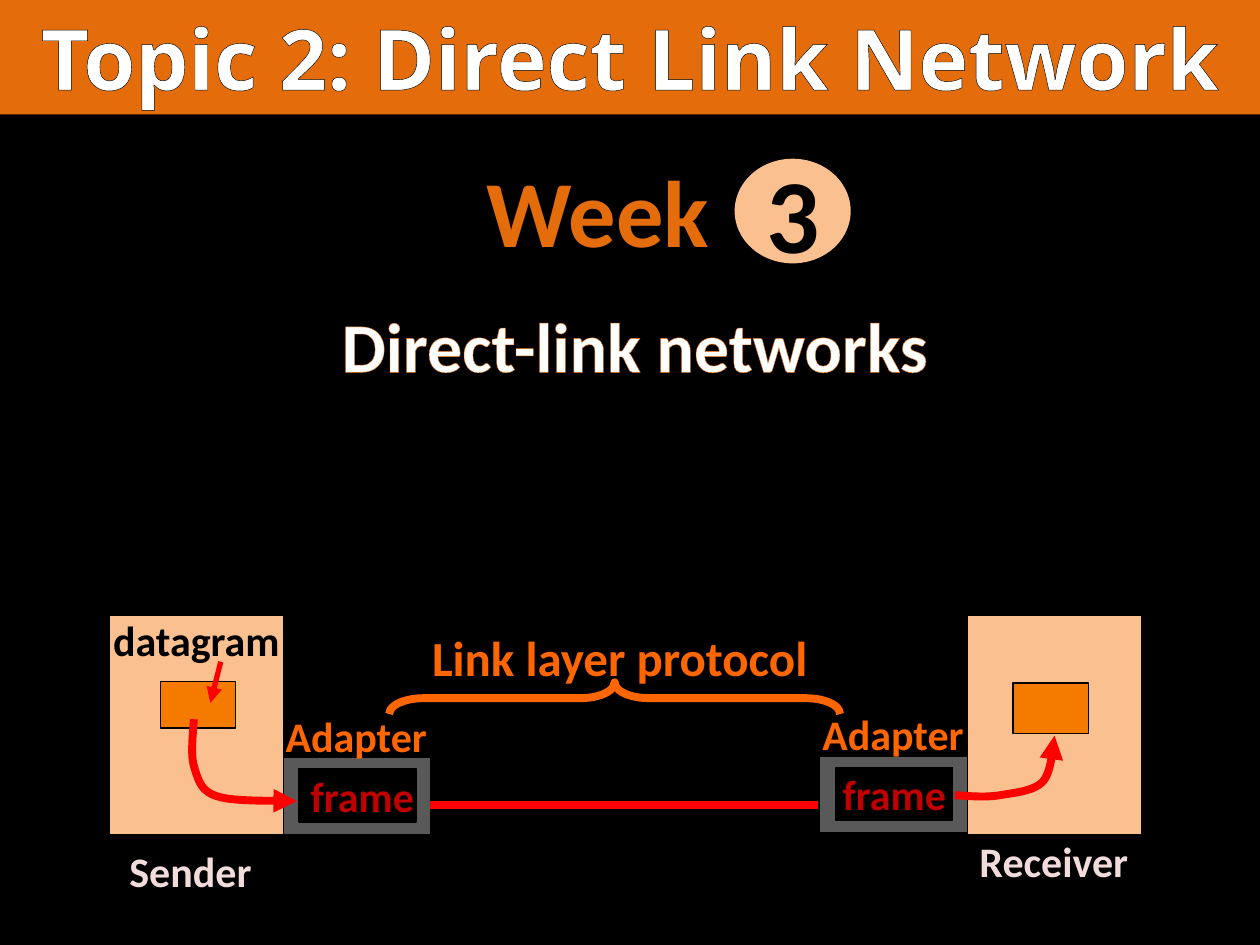
from lxml import etree
from pptx import Presentation
from pptx.dml.color import RGBColor
from pptx.enum.shapes import MSO_CONNECTOR, MSO_SHAPE
from pptx.enum.text import MSO_ANCHOR, MSO_AUTO_SIZE, PP_ALIGN
from pptx.oxml.ns import qn
from pptx.util import Cm, Pt

RECT, OVAL, BRACE = MSO_SHAPE.RECTANGLE, MSO_SHAPE.OVAL, MSO_SHAPE.LEFT_BRACE
STRAIGHT = MSO_CONNECTOR.STRAIGHT
LEFT, CENTER = PP_ALIGN.LEFT, PP_ALIGN.CENTER
TOP, MIDDLE = MSO_ANCHOR.TOP, MSO_ANCHOR.MIDDLE
FIT = MSO_AUTO_SIZE.SHAPE_TO_FIT_TEXT

COLORS = {
    "black": "000000", "white": "FFFFFF", "orange": "E46C0A",
    "peach": "FAC090", "packet": "F47A00", "label": "FF6600",
    "gray": "595959", "red": "FF0000", "frame": "C00000", "pink": "F2DCDB",
}


def color(name):
    return RGBColor.from_string(COLORS[name])


def set_line(shape, name, width):
    shape.line.color.rgb = color(name)
    shape.line.width = Pt(width)


def write(shape, text, size, ink, font="Calibri", align=CENTER,
          anchor=TOP, wrap=True, outline=None):
    frame = shape.text_frame
    frame.word_wrap = wrap
    frame.vertical_anchor = anchor
    para = frame.paragraphs[0]
    para.alignment = align
    para.font.name, para.font.size, para.font.bold = font, Pt(size), True
    para.font.color.rgb = color(ink)
    span = para.add_run()
    span.text = text
    if outline:
        line = etree.Element(qn("a:ln"), w=str(Pt(0.75)))
        fill = etree.SubElement(line, qn("a:solidFill"))
        etree.SubElement(fill, qn("a:srgbClr"), val=COLORS[outline])
        span._r.get_or_add_rPr().insert(0, line)


def add_label(page, box, text, size, ink, **style):
    label = page.shapes.add_textbox(*map(Cm, box))
    write(label, text, size, ink, **style)
    label.text_frame.auto_size = FIT


def add_block(page, kind, box, fill=None, border=None, width=0.75):
    block = page.shapes.add_shape(kind, *map(Cm, box))
    block.shadow.inherit = False
    if fill:
        block.fill.solid()
        block.fill.fore_color.rgb = color(fill)
    else:
        block.fill.background()
    if border:
        set_line(block, border, width)
    else:
        block.line.fill.background()
    return block


def add_arrowhead(shape):
    etree.SubElement(shape.line._get_or_add_ln(), qn("a:tailEnd"), type="triangle")


def add_straight(page, start, end, width):
    line = page.shapes.add_connector(STRAIGHT, *map(Cm, start + end))
    set_line(line, "red", width)
    etree.SubElement(line._element.spPr, qn("a:effectLst"))
    return line


def add_curve(page, left, top, start, segments, steps=12):
    """Draw joined cubic curves, each given by two controls and an end."""
    points, last = [], start
    for segment in segments:
        corners = (last,) + segment
        for step in range(1, steps + 1):
            t = step / steps
            weights = ((1 - t) ** 3, 3 * t * (1 - t) ** 2, 3 * t * t * (1 - t), t ** 3)
            x, y = (sum(w * c[axis] for w, c in zip(weights, corners)) for axis in (0, 1))
            points.append((Cm(left + x), Cm(top + y)))
        last = segment[-1]
    builder = page.shapes.build_freeform(Cm(left + start[0]), Cm(top + start[1]))
    builder.add_line_segments(points, close=False)
    curve = builder.convert_to_shape()
    curve.shadow.inherit = False
    curve.fill.background()
    set_line(curve, "red", 4.5)
    add_arrowhead(curve)


def add_banner(page, left, top, width, height):
    banner = add_block(page, RECT, (left, top, width, height), "orange")
    write(banner, "Topic 2: Direct Link Network", 48, "white",
          font="Noto Sans", outline="black")


def add_heading(page, left, top):
    add_label(page, (left + 0.2, top + 3, 25.2, 1.96), "Direct-link networks",
              40, "white", outline="orange")
    add_label(page, (left + 0.84, top, 22.43, 2.57), "Week", 54, "orange")
    badge = add_block(page, OVAL, (left + 14.81, top + 0.23, 2.34, 2.11), "peach")
    write(badge, "3", 60, "black", anchor=MIDDLE)


def add_host(page, left, top, packet, name, name_box):
    add_block(page, RECT, (left, top, 3.5, 4.42), "peach", "black")
    x, y, height = packet
    add_block(page, RECT, (left + x, top + y, 1.52, height), "packet", "black")
    x, y, width = name_box
    add_label(page, (left + x, top + y, width, 1.27), name, 24, "pink", wrap=False)


def add_adapter(page, left, top, text):
    add_block(page, RECT, (left, top, 3, 1.55), "gray", "black")
    slot = add_block(page, RECT, (left + 0.34, top + 0.23, 2.36, 1.07), "black", "black")
    write(slot, text, 24, "frame", anchor=MIDDLE, wrap=False)
    add_label(page, (left - 0.18, top - 1.08, 3.38, 1.27), "Adapter", 24, "label",
              align=LEFT, wrap=False)


def add_link_diagram(page, left, top):
    # Adapters, the link between them, and the two hosts
    add_adapter(page, left + 3.69, top + 3.27, " frame")
    add_straight(page, (left + 6.66, top + 4.23), (left + 14.5, top + 4.23), 4.5)
    add_adapter(page, left + 14.51, top + 3.24, "frame")
    add_host(page, left + 0.21, top + 0.4, (1.02, 1.34, 0.94), "Sender", (0.13, 4.52, 3))
    add_host(page, left + 17.51, top + 0.4, (0.91, 1.37, 1.02), "Receiver",
             (-0.03, 4.31, 3.53))

    # Datagram label and pointer
    add_label(page, (left + 0.03, top + 0.27, 3.91, 1.27), "datagram", 24, "black",
              align=LEFT, wrap=False)
    pointer = add_straight(page, (left + 2.45, top + 1.34), (left + 2.24, top + 2.17), 3)
    add_arrowhead(pointer)

    # Paths into and out of the link
    add_curve(page, left, top, (1.91, 2.5), [
        ((1.89, 2.83), (1.84, 3.19), (1.91, 3.44)),
        ((1.99, 3.7), (2.04, 3.95), (2.37, 4.05)),
        ((2.72, 4.18), (3.74, 4.13), (3.99, 4.15)),
    ])
    add_curve(page, left, top, (17.25, 4.03), [
        ((17.56, 4.05), (17.86, 4.08), (18.17, 4.03)),
        ((18.45, 3.98), (18.85, 3.95), (19.03, 3.75)),
        ((19.21, 3.54), (19.23, 2.99), (19.26, 2.83)),
    ])

    # Protocol label and brace
    add_label(page, (left + 6.46, top + 0.52, 8.18, 1.45), "Link layer protocol", 28,
              "label", align=LEFT, wrap=False)
    brace = add_block(page, BRACE, (left + 10.07, top - 2.47, 0.64, 9.09),
                      border="label", width=4.5)
    brace.adjustments[0] = 1.08
    brace.rotation = 90


deck = Presentation()
deck.slide_width, deck.slide_height = Cm(25.4), Cm(19.05)
page = deck.slides.add_slide(deck.slide_layouts[6])
page.background.fill.solid()
page.background.fill.fore_color.rgb = color("black")
add_banner(page, 0, 0, 25.4, 2.31)
add_heading(page, 0, 2.97)
add_link_diagram(page, 2, 12)
deck.save("out.pptx")
